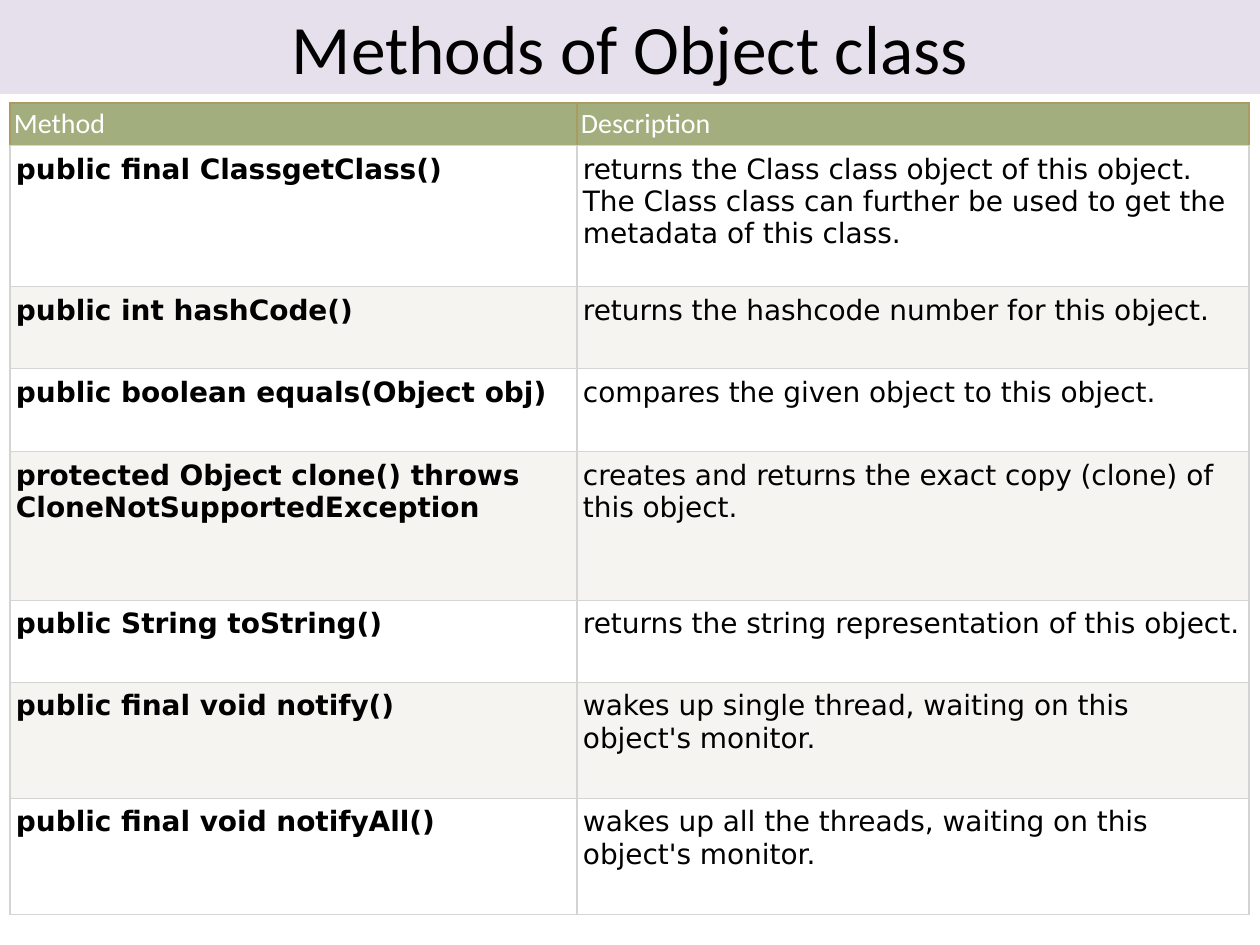
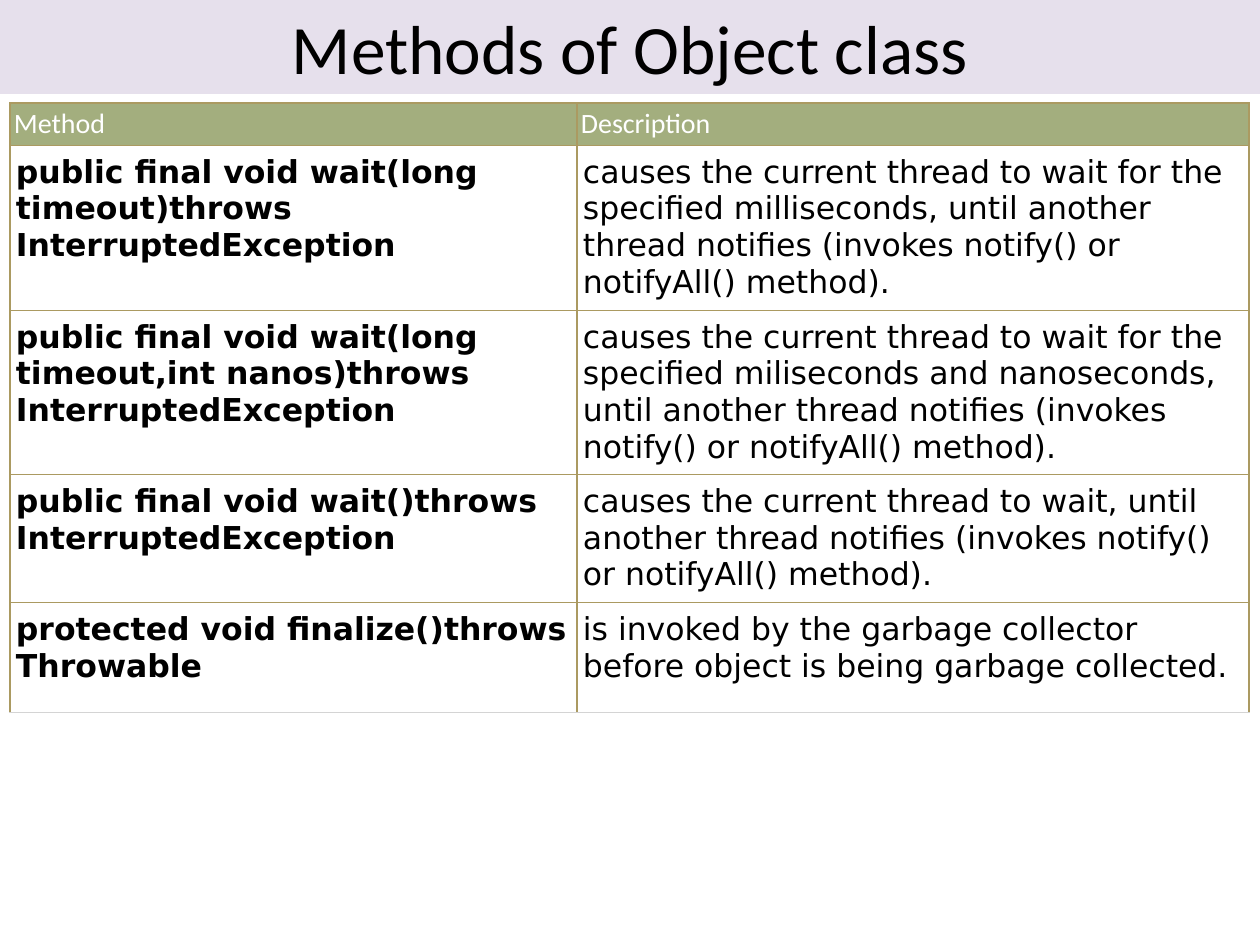
from lxml import etree
from pptx import Presentation
from pptx import util as u
from pptx.dml.color import RGBColor
from pptx.enum import text
from pptx.oxml import ns

SCALE = 914400 / 126
HEAD_FONT, BODY_FONT = "Calibri", "DejaVu Sans"
BLACK, WHITE = "000000", "FFFFFF"
BAND, HEADER, STRIPE = "E6E0EC", "A3AE7E", "F6F4F0"
TAN, PALE = "AB9A61", "D4D4D4"
TITLE = "Methods of Object class"
HEADINGS = ("Method", "Description")
COLUMNS = (567, 672)
TABLE_LEFT, TABLE_TOP = 10, 103

BASIC_METHODS = [
    ("public final ClassgetClass()",
     "returns the Class class object of this object. The Class class can "
     "further be used to get the metadata of this class."),
    ("public int hashCode()", "returns the hashcode number for this object."),
    ("public boolean equals(Object obj)",
     "compares the given object to this object."),
    ("protected Object clone() throws CloneNotSupportedException",
     "creates and returns the exact copy (clone) of this object."),
    ("public String toString()",
     "returns the string representation of this object."),
    ("public final void notify()",
     "wakes up single thread, waiting on this object's monitor."),
    ("public final void notifyAll()",
     "wakes up all the threads, waiting on this object's monitor."),
]
WAIT_METHODS = [
    ("public final void wait(long timeout)throws InterruptedException",
     "causes the current thread to wait for the specified milliseconds, until "
     "another thread notifies (invokes notify() or notifyAll() method)."),
    ("public final void wait(long timeout,int nanos)throws InterruptedException",
     "causes the current thread to wait for the specified miliseconds and "
     "nanoseconds, until another thread notifies (invokes notify() or "
     "notifyAll() method)."),
    ("public final void wait()throws InterruptedException",
     "causes the current thread to wait, until another thread notifies "
     "(invokes notify() or notifyAll() method)."),
    ("protected void finalize()throws Throwable",
     "is invoked by the garbage collector before object is being garbage "
     "collected."),
]


def px(length):
    """Turn pixels into EMU."""
    return u.Emu(round(length * SCALE))


def paint(target, color):
    """Fill a shape or cell with a solid colour."""
    target.fill.solid()
    target.fill.fore_color.rgb = RGBColor.from_string(color)


def style(para, font, size, color, bold=False):
    """Format every run of a paragraph."""
    for span in para.runs:
        span.font.name = font
        span.font.size = u.Pt(size)
        span.font.bold = bold
        span.font.color.rgb = RGBColor.from_string(color)


def add_title(page):
    """Turn the title placeholder into the full-width band."""
    band = page.shapes.title
    band.left, band.top, band.width, band.height = px(0), px(0), px(1260), px(94)
    paint(band, BAND)
    frame = band.text_frame
    frame.text = TITLE
    frame.auto_size = text.MSO_AUTO_SIZE.NONE
    frame.vertical_anchor = text.MSO_ANCHOR.MIDDLE
    frame.paragraphs[0].alignment = text.PP_ALIGN.CENTER
    style(frame.paragraphs[0], HEAD_FONT, 39.6, BLACK)


def add_borders(cell, colors):
    """Draw the cell edges in left, right, top, bottom order."""
    properties = cell._tc.get_or_add_tcPr()
    for side, color in zip("LRTB", colors):
        line = etree.SubElement(properties, ns.qn(f"a:ln{side}"), w=str(u.Pt(0.75)))
        fill = etree.SubElement(line, ns.qn("a:solidFill"))
        etree.SubElement(fill, ns.qn("a:srgbClr"), val=color)


def fill_cell(cell, words, fill, borders, insets):
    """Write one cell with its edges, fill and margins, and return its paragraph."""
    cell.text_frame.text = words
    add_borders(cell, borders)
    paint(cell, fill)
    cell.margin_left = cell.margin_right = px(insets[0])
    cell.margin_top = cell.margin_bottom = px(insets[1])
    return cell.text_frame.paragraphs[0]


def add_methods(page, methods, heights, size, inset, grid, stripe):
    """Add a table of methods under a heading row."""
    frame = page.shapes.add_table(len(heights), len(COLUMNS), px(TABLE_LEFT),
                                  px(TABLE_TOP), px(sum(COLUMNS)), px(sum(heights)))
    table = frame.table
    table.horz_banding = False
    for column, width in zip(table.columns, COLUMNS):
        column.width = px(width)
    for row, height in zip(table.rows, heights):
        row.height = px(height)
    for index, heading in enumerate(HEADINGS):
        para = fill_cell(table.cell(0, index), heading, HEADER,
                         (TAN, TAN, TAN, grid), (4, 4))
        style(para, HEAD_FONT, 16, WHITE)
    for number, method in enumerate(methods, 1):
        bottom = PALE if number == len(methods) else grid
        fill = WHITE if number % 2 else stripe
        for index, words in enumerate(method):
            para = fill_cell(table.cell(number, index), words, fill,
                             (grid, grid, grid, bottom), (6, inset))
            style(para, BODY_FONT, size, BLACK, bold=index == 0)


def main():
    """Build both slides and save the deck."""
    deck = Presentation()
    deck.slide_width, deck.slide_height = px(1260), px(945)
    tables = [
        (BASIC_METHODS, (41, 141, 82, 83, 149, 82, 116, 116), 16, 8, PALE, STRIPE),
        (WAIT_METHODS, (41, 165, 164, 128, 110), 18, 9, TAN, WHITE),
    ]
    for details in tables:
        page = deck.slides.add_slide(deck.slide_layouts[5])
        add_title(page)
        add_methods(page, *details)
    deck.save("out.pptx")


main()
